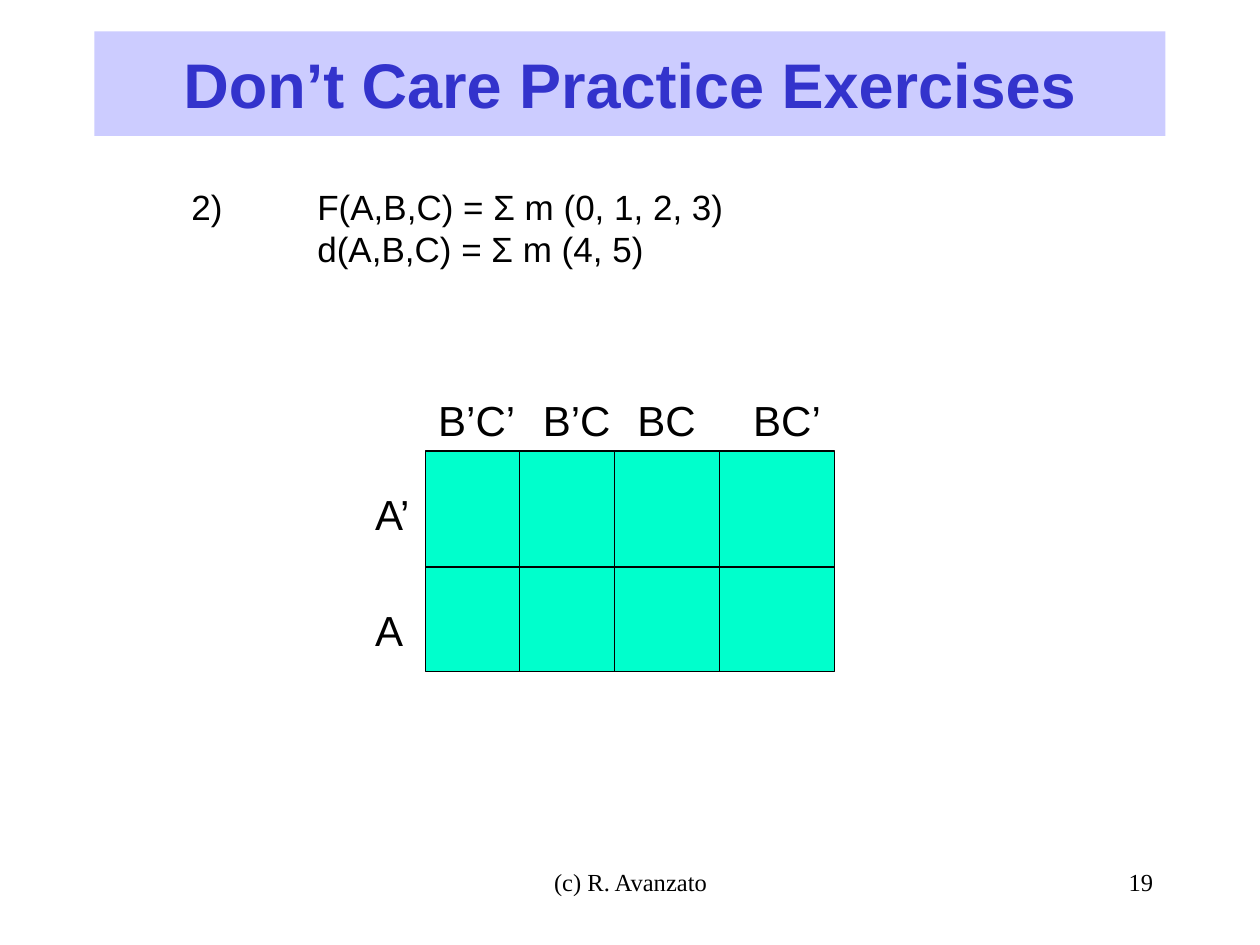
from pptx import Presentation
from pptx.dml.color import RGBColor
from pptx.enum import shapes, text
from pptx.oxml.ns import qn
from pptx.util import Inches, Pt
from lxml import etree

BLACK = RGBColor(0x00, 0x00, 0x00)
TITLE_BLUE = RGBColor(0x33, 0x33, 0xCC)
TITLE_BAND = RGBColor(0xCC, 0xCC, 0xFF)
MAP_GREEN = RGBColor(0x00, 0xFF, 0xCC)

LEFT, CENTER, RIGHT = text.PP_ALIGN.LEFT, text.PP_ALIGN.CENTER, text.PP_ALIGN.RIGHT
BODY = {"name": "Arial", "size": Pt(20)}
LABEL = {"name": "Arial", "size": Pt(24)}
FOOTER = {"name": "Times New Roman", "size": Pt(14)}
TITLE = {"name": "Arial", "size": Pt(36), "bold": True}

MAP_LEFT, MAP_TOP, MAP_RIGHT, MAP_BOTTOM = 3.375, 3.58, 6.625, 5.33
ROW_DIVIDER = 4.5
COLUMN_DIVIDERS = (4.125, 4.875, 5.71)
COLUMN_LABELS = (("B’C’", 3.38, 0.83), ("B’C", 4.21, 0.76), ("BC", 4.96, 0.68), ("BC’", 5.88, 0.76))
ROW_LABELS = (("A’", 3.83, 0.5), ("A", 4.75, 0.44))


def add_tab_stop(para, inches):
    stops = etree.SubElement(para._p.get_or_add_pPr(), qn("a:tabLst"))
    etree.SubElement(stops, qn("a:tab"), pos=str(Inches(inches)), algn="l")


def write_lines(box, lines, style, color=BLACK, align=LEFT):
    for number, line in enumerate(lines):
        para = box.text_frame.paragraphs[0] if number == 0 else box.text_frame.add_paragraph()
        para.alignment = align
        if "\t" in line:
            add_tab_stop(para, 1)
        span = para.add_run()
        span.text = line
        for name, value in style.items():
            setattr(span.font, name, value)
        span.font.color.rgb = color


def add_text(parent, area, lines, style, align=LEFT, wrap=True):
    box = parent.shapes.add_textbox(*map(Inches, area))
    box.text_frame.word_wrap = wrap
    write_lines(box, lines, style, align=align)


def add_rectangle(parent, area, fill):
    box = parent.shapes.add_shape(shapes.MSO_SHAPE.RECTANGLE, *map(Inches, area))
    box.shadow.inherit = False
    box.fill.solid()
    box.fill.fore_color.rgb = fill
    box.line.fill.background()
    return box


def set_outline(item):
    item.line.color.rgb = BLACK
    item.line.width = Pt(0.75)


def add_divider(parent, ends):
    line = parent.shapes.add_connector(shapes.MSO_CONNECTOR.STRAIGHT, *map(Inches, ends))
    set_outline(line)
    etree.SubElement(line._element.spPr, qn("a:effectLst"))


def add_title(page, words):
    band = add_rectangle(page, (0.75, 0.25, 8.5, 0.83), TITLE_BAND)
    band.text_frame.word_wrap = True
    band.text_frame.vertical_anchor = text.MSO_ANCHOR.MIDDLE
    write_lines(band, [words], TITLE, TITLE_BLUE, CENTER)


def add_karnaugh_map(page):
    group = page.shapes.add_group_shape()
    area = (MAP_LEFT, MAP_TOP, MAP_RIGHT - MAP_LEFT, MAP_BOTTOM - MAP_TOP)
    set_outline(add_rectangle(group, area, MAP_GREEN))
    add_divider(group, (MAP_LEFT, ROW_DIVIDER, MAP_RIGHT, ROW_DIVIDER))
    for x in COLUMN_DIVIDERS:
        add_divider(group, (x, MAP_TOP, x, MAP_BOTTOM))
    for label, left, width in COLUMN_LABELS:
        add_text(group, (left, 3.08, width, 0.5), [label], LABEL, wrap=False)
    for label, top, width in ROW_LABELS:
        add_text(group, (2.88, top, width, 0.5), [label], LABEL, wrap=False)


def main():
    deck = Presentation()
    deck.slide_width, deck.slide_height = Inches(10), Inches(7.5)
    page = deck.slides.add_slide(deck.slide_layouts[6])
    add_text(page, (3.42, 6.83, 3.17, 0.5), ["(c) R. Avanzato"], FOOTER, CENTER)
    add_text(page, (7.17, 6.83, 2.08, 0.5), ["19"], FOOTER, RIGHT)
    add_title(page, "Don’t Care Practice Exercises")
    functions = ["2)\tF(A,B,C) = Σ m (0, 1, 2, 3)", "\td(A,B,C) = Σ m (4, 5)"]
    add_text(page, (1.42, 1.42, 7.17, 1.1), functions, BODY)
    add_karnaugh_map(page)
    deck.save("out.pptx")


if __name__ == "__main__":
    main()
